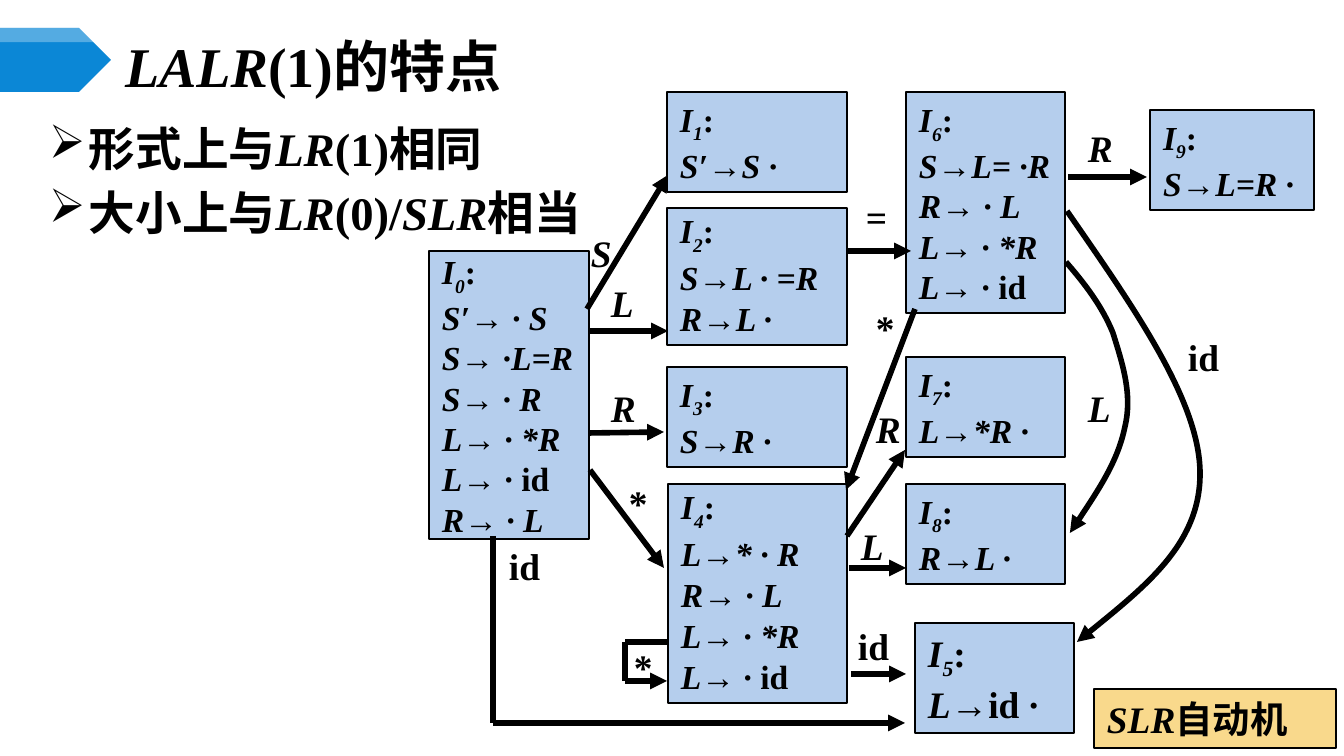
from lxml.etree import SubElement
from pptx import Presentation
from pptx.dml.color import RGBColor
from pptx.enum.shapes import MSO_CONNECTOR, MSO_SHAPE
from pptx.enum.text import MSO_ANCHOR
from pptx.oxml.ns import qn
from pptx.util import Pt

PX = 914400 / 134.4
COLORS = {"ink": "000000", "state": "B5CEED", "note": "F9D98C", "blue": "0B87D6", "white": "FFFFFF"}
LATIN, CJK = "Times New Roman", "Noto Sans CJK SC"

STATES = [
    ((1, 159, 160, 288), ["S′→ · S", "S→ ·L=R", "S→ · R", "L→ · *R", "L→ · |id", "R→ · L"], {"pad": 0}),
    ((239, 0, 180, 100), ["S′→S ·"], {}),
    ((239, 116, 180, 137), ["S→L · =R", "R→L ·"], {"spacing": 22}),
    ((239, 275, 180, 100), ["S→R ·"], {}),
    ((240, 392, 179, 219), ["L→* · R", "R→ · L", "L→ · *R", "L→ · |id"], {"spacing": 22}),
    ((487, 531, 159, 110), ["L→|id |·"], {"size": 20}),
    ((478, 0, 159, 221), ["S→L= ·R", "R→ · L", "L→ · *R", "L→ · |id"], {}),
    ((478, 265, 159, 100), ["L→*R ·"], {}),
    ((478, 392, 159, 100), ["R→L ·"], {}),
    ((722, 18, 164, 100), ["S→L=R ·"], {}),
]
ROUTES = [
    [(159, 217), (240, 83)], [(161, 239), (240, 239)], [(161, 341), (236, 340)],
    [(162, 378), (236, 476)], [(419, 159), (483, 159)], [(487, 217), (418, 398)],
    [(419, 444), (477, 358)], [(421, 476), (478, 476)], [(423, 582), (478, 582)],
    [(640, 85), (719, 85)], [(65, 444), (65, 631), (477, 631)],
    [(239, 550), (197, 550), (197, 589), (239, 589)],
]
CURVES = [
    [(638, 170), (657, 192), (674, 214), (685, 241), (694, 270),
     (705, 302), (697, 335), (690, 369), (666, 405), (642, 441)],
    [(639, 119), (704, 213), (770, 306), (772, 378), (774, 450), (712, 499), (649, 550)],
]
LABELS = [
    ("S", 150, 131), ("L", 170, 181), ("R", 170, 286), ("*", 188, 381), ("id", 68, 444),
    ("=", 425, 95), ("*", 435, 206), ("R", 435, 307), ("L", 420, 424), ("id", 417, 524),
    ("*", 193, 545), ("R", 647, 26), ("L", 647, 286), ("id", 747, 235),
]


def emu(*values):
    """Turn px lengths into EMU."""
    return [round(v * PX) for v in values]


def rgb(name):
    """Look up a named colour."""
    return RGBColor.from_string(COLORS[name])


def add_text(p, text, size=18, italic=True, sub=False):
    """Add bold runs to a paragraph; each bar in the text toggles italics."""
    for i, part in enumerate(text.split("|")):
        if not part:
            continue
        r = p.add_run()
        r.text = part
        r.font.size, r.font.bold, r.font.name = Pt(size), True, LATIN
        r.font.italic = italic == (i % 2 == 0)
        r.font.color.rgb = rgb("ink")
        rPr = r.font._element
        SubElement(rPr, qn("a:ea")).set("typeface", CJK)
        if sub:
            rPr.set("baseline", "-25000")


def frame(sp, pad=7, wrap=False, anchor=MSO_ANCHOR.TOP):
    """Set the margins and anchor of a shape's text and return its frame."""
    tf = sp.text_frame
    tf.margin_left, tf.margin_right, tf.margin_top, tf.margin_bottom = emu(13, 13, pad, pad)
    tf.word_wrap, tf.vertical_anchor = wrap, anchor
    return tf


def add_box(s, box, fill, pad=7):
    """Add a filled, outlined rectangle and return its text frame."""
    sp = s.shapes.add_shape(MSO_SHAPE.RECTANGLE, *emu(*box))
    sp.shadow.inherit = False
    sp.fill.solid()
    sp.fill.fore_color.rgb = rgb(fill)
    sp.line.color.rgb, sp.line.width = rgb("ink"), Pt(1)
    tf = frame(sp, pad)
    tf.paragraphs[0].alignment = 1
    return tf


def add_label(s, box, text, **fmt):
    """Add a text box with one line and return its paragraph."""
    tf = frame(s.shapes.add_textbox(*emu(*box)), wrap=True, anchor=fmt.pop("anchor", MSO_ANCHOR.TOP))
    add_text(tf.paragraphs[0], text, **fmt)
    return tf.paragraphs[0]


def add_outline(s, points, close):
    """Add a freeform through the points."""
    fb = s.shapes.build_freeform(*points[0], scale=PX)
    fb.add_line_segments(points[1:], close=close)
    sp = fb.convert_to_shape()
    sp.shadow.inherit = False
    return sp


def ink_line(sp, arrow):
    """Draw a thick black line, with an arrowhead at its end if asked."""
    sp.line.color.rgb, sp.line.width = rgb("ink"), Pt(3)
    if arrow:
        SubElement(sp.line._get_or_add_ln(), qn("a:tailEnd")).set("type", "triangle")


def add_route(s, points):
    """Join the points with straight connectors that end in an arrowhead."""
    for a, b in zip(points, points[1:]):
        sp = s.shapes.add_connector(MSO_CONNECTOR.STRAIGHT, *emu(*a, *b))
        ink_line(sp, b == points[-1])
        SubElement(sp._element.spPr, qn("a:effectLst"))


def add_curve(s, points):
    """Draw an arrow along cubic curves given by their control points."""
    sp = add_outline(s, points, False)
    sp.fill.background()
    ink_line(sp, True)
    path = sp._element.find(".//" + qn("a:path"))
    steps = path.findall(qn("a:lnTo"))
    for i in range(0, len(steps), 3):
        bezier = SubElement(path, qn("a:cubicBezTo"))
        for step in steps[i:i + 3]:
            bezier.append(step[0])
            path.remove(step)


def add_state(s, box, number, items, size=18, spacing=None, pad=7):
    """Draw one state of the automaton with its items."""
    tf = add_box(s, box, "state", pad)
    p = tf.paragraphs[0]
    add_text(p, "I", size=size)
    add_text(p, str(number), size=size, sub=True)
    add_text(p, ":", size=size, italic=False)
    for item in items:
        p = tf.add_paragraph()
        p.alignment = 1
        add_text(p, item, size=size)
    for p in tf.paragraphs:
        if spacing:
            p.line_spacing = Pt(spacing)


def header(s, x, y, w, h):
    """Draw the title and the arrow-shaped tab beside it."""
    tab = [(0, 0), (79, 0), (111, 32), (79, 64), (0, 64)]
    gloss = [(0, 0), (105, 0), (111, 7), (105, 14), (0, 14)]
    for points, color in ((tab, "blue"), (gloss, "white")):
        sp = add_outline(s, [(x + a, y + b) for a, b in points], True)
        sp.fill.solid()
        sp.fill.fore_color.rgb = rgb(color)
        sp.line.fill.background()
    clr = sp._element.spPr.find(".//" + qn("a:srgbClr"))
    SubElement(clr, qn("a:alpha")).set("val", "30000")
    add_label(s, (x + 112, y + 11, w - 112, h), "LALR|(1)的特点", size=30, anchor=MSO_ANCHOR.MIDDLE)


def bullets(s, x, y, w, h):
    """Draw the two bullet lines."""
    for i, text in enumerate(["形式上与|LR|(1)相同", "大小上与|LR|(0)/|SLR|相当"]):
        p = add_label(s, (x, y + i * 64, w, h), text, size=25, italic=False)
        pPr = p._element.get_or_add_pPr()
        indent = emu(40)[0]
        pPr.set("marL", str(indent))
        pPr.set("indent", str(-indent))
        SubElement(pPr, qn("a:buChar")).set("char", "➢")


def automaton(s, x, y):
    """Draw the states, transitions and their labels."""
    for i, ((a, b, w, h), items, fmt) in enumerate(STATES):
        add_state(s, (x + a, y + b, w, h), i, items, **fmt)
    for draw, lines in ((add_route, ROUTES), (add_curve, CURVES)):
        for points in lines:
            draw(s, [(x + a, y + b) for a, b in points])
    for text, a, b in LABELS:
        add_label(s, (x + a, y + b, 78, 59), text, size=20, italic=text.isupper())


def caption(s, *box):
    """Draw the note that names the automaton."""
    add_text(add_box(s, box, "note").paragraphs[0], "SLR|自动机", size=20)


def main():
    """Build the slide and save it."""
    prs = Presentation()
    prs.slide_width, prs.slide_height = emu(1344, 756)
    s = prs.slides.add_slide(prs.slide_layouts[6])
    header(s, 0, 28, 1277, 53)
    bullets(s, 36, 113, 808, 64)
    automaton(s, 428, 92)
    caption(s, 1094, 689, 242, 59)
    prs.save("out.pptx")


if __name__ == "__main__":
    main()
